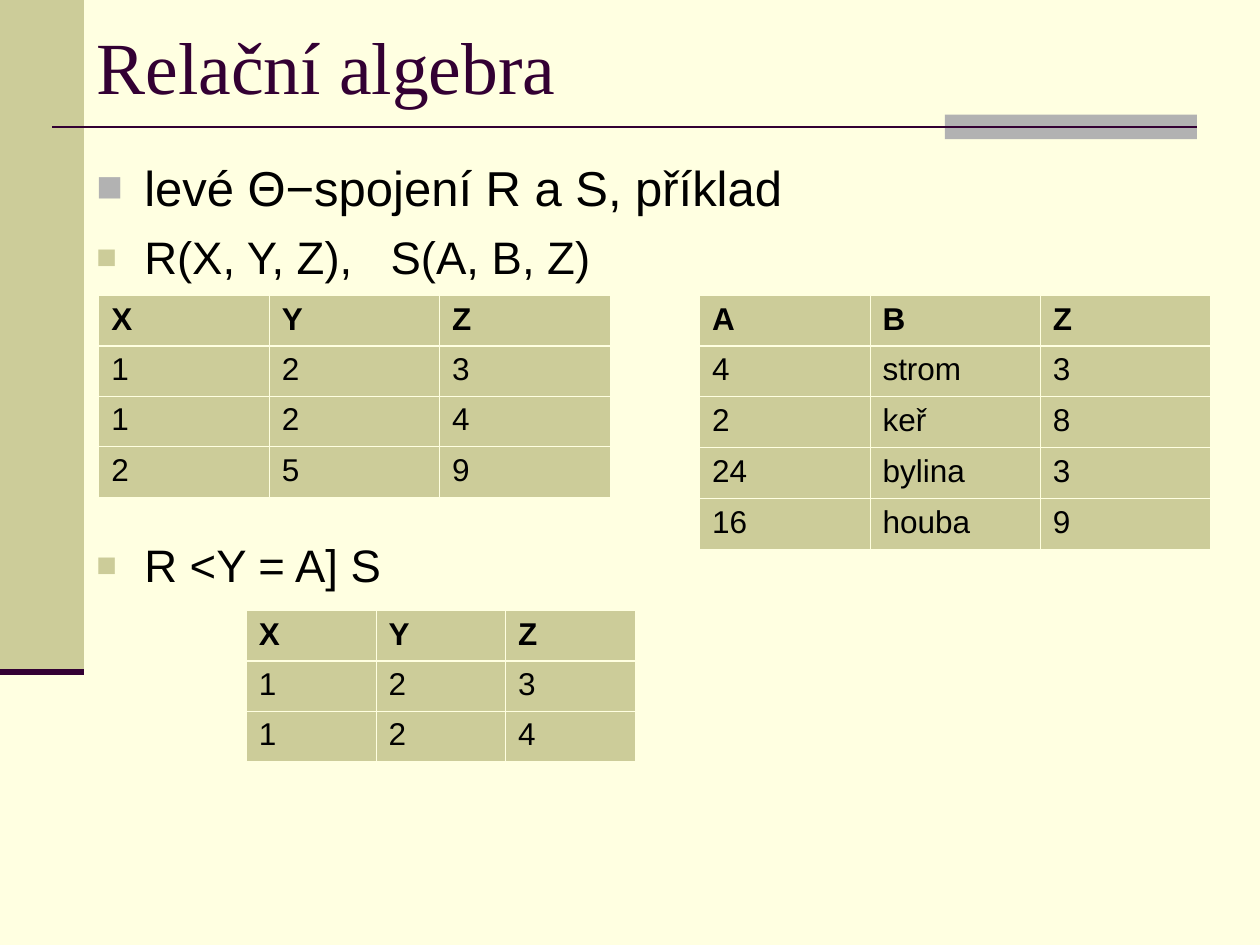
from dataclasses import dataclass

from lxml import etree
from pptx import Presentation
from pptx.dml.color import RGBColor
from pptx.enum.shapes import MSO_CONNECTOR, MSO_SHAPE
from pptx.enum.text import MSO_ANCHOR, PP_ALIGN
from pptx.oxml.ns import qn
from pptx.util import Pt

RECTANGLE = MSO_SHAPE.RECTANGLE
STRAIGHT = MSO_CONNECTOR.STRAIGHT
MIDDLE, TOP = MSO_ANCHOR.MIDDLE, MSO_ANCHOR.TOP
LEFT = PP_ALIGN.LEFT
RIGHT_SIDE = 3
TITLE_ONLY = 5


@dataclass(frozen=True)
class Theme:
    paper: str = "FFFFE1"
    sand: str = "CCCC99"
    grey: str = "B2B2B2"
    plum: str = "330033"
    ink: str = "000000"
    title_font: str = "Times New Roman"
    body_font: str = "Arial"
    title_size: float = 42
    lead_size: float = 28
    item_size: float = 26
    cell_size: float = 18
    thin: float = 0.45
    thick: float = 1.47


def rgb(value):
    return RGBColor.from_string(value)


def assign(target, values):
    for name, value in values.items():
        setattr(target, name, value)


def add_node(parent, tag, **attributes):
    node = etree.SubElement(parent, qn(tag))
    for name, value in attributes.items():
        node.set(name, str(value))
    return node


class SlideBuilder:
    def __init__(self, page, theme):
        self.page = page
        self.theme = theme
        page.background.fill.solid()
        page.background.fill.fore_color.rgb = rgb(theme.paper)

    def style_font(self, font, name, size, color, bold=False):
        assign(font, {"name": name, "size": Pt(size), "bold": bold})
        font.color.rgb = rgb(color)

    def block(self, left, top, width, height, color):
        shape = self.page.shapes.add_shape(
            RECTANGLE, Pt(left), Pt(top), Pt(width), Pt(height))
        shape.shadow.inherit = False
        shape.fill.solid()
        shape.fill.fore_color.rgb = rgb(color)
        shape.line.fill.background()
        return shape

    def rule(self, left, right, y, weight, end_shape=None):
        """Horizontal line; ends on the right side of end_shape if given."""
        line = self.page.shapes.add_connector(STRAIGHT, Pt(left), Pt(y), Pt(right), Pt(y))
        line.line.color.rgb = rgb(self.theme.plum)
        line.line.width = Pt(weight)
        add_node(line._element.spPr, "a:effectLst")
        if end_shape is not None:
            line.end_connect(end_shape, RIGHT_SIDE)

    def title(self, text, left, top, width, height):
        box = self.page.shapes.title
        assign(box, {"left": Pt(left), "top": Pt(top),
                     "width": Pt(width), "height": Pt(height)})
        frame = box.text_frame
        frame.text = text
        assign(frame, {"vertical_anchor": MIDDLE, "margin_top": Pt(12), "word_wrap": True})
        para = frame.paragraphs[0]
        para.alignment = LEFT
        self.style_font(para.font, self.theme.title_font, self.theme.title_size,
                        self.theme.plum)

    def bullets(self, items, left, top, width, height):
        """Each item: spans as (text, letter spacing), size, marker colour, percent, gap."""
        frame = self.page.shapes.add_textbox(
            Pt(left), Pt(top), Pt(width), Pt(height)).text_frame
        assign(frame, {"word_wrap": True, "vertical_anchor": TOP, "margin_top": Pt(7)})
        for index, (spans, size, color, percent, gap) in enumerate(items):
            para = frame.add_paragraph() if index else frame.paragraphs[0]
            self.marker(para, color, percent)
            if index:
                para.space_before = Pt(gap)
            for text, spacing in spans:
                span = para.add_run()
                span.text = text
                self.style_font(span.font, self.theme.body_font, size, self.theme.ink)
                if spacing:
                    span.font._element.set("spc", str(round(spacing * 100)))

    def marker(self, para, color, percent):
        props = para._p.get_or_add_pPr()
        indent = Pt(27.36)
        props.set("marL", str(indent))
        props.set("indent", str(-indent))
        add_node(add_node(props, "a:buClr"), "a:srgbClr", val=color)
        add_node(props, "a:buSzPct", val=percent * 1000)
        add_node(props, "a:buFont", typeface=self.theme.body_font)
        add_node(props, "a:buChar", char="■")

    def table(self, rows, left, top, column_width, row_height=28.8):
        columns = len(rows[0])
        frame = self.page.shapes.add_table(
            len(rows), columns, Pt(left), Pt(top),
            Pt(column_width * columns), Pt(row_height * len(rows)))
        grid = frame.table
        for column in grid.columns:
            column.width = Pt(column_width)
        for r, values in enumerate(rows):
            grid.rows[r].height = Pt(row_height)
            for c, value in enumerate(values):
                cell = grid.cell(r, c)
                cell.text = value
                cell.fill.solid()
                cell.fill.fore_color.rgb = rgb(self.theme.sand)
                self.style_font(cell.text_frame.paragraphs[0].runs[0].font,
                                self.theme.body_font, self.theme.cell_size,
                                self.theme.ink, bold=r == 0)
                self.borders(cell, r)

    def borders(self, cell, row):
        """Thin borders, with a thick one between the header and the first row."""
        thick_side = {0: "a:lnB", 1: "a:lnT"}.get(row)
        props = cell._tc.get_or_add_tcPr()
        for position, side in enumerate(("a:lnL", "a:lnR", "a:lnT", "a:lnB")):
            weight = self.theme.thick if side == thick_side else self.theme.thin
            line = add_node(props, side, w=Pt(weight))
            add_node(add_node(line, "a:solidFill"), "a:srgbClr", val=self.theme.paper)
            props.insert(position, line)


def main():
    deck = Presentation()
    assign(deck, {"slide_width": Pt(720), "slide_height": Pt(540)})
    theme = Theme()
    page = deck.slides.add_slide(deck.slide_layouts[TITLE_ONLY])
    slide = SlideBuilder(page, theme)

    sidebar_width, sidebar_height = 48, 384
    slide.block(0, 0, sidebar_width, sidebar_height, theme.sand)
    accent = slide.block(540, 65.5, 144, 14, theme.grey)
    slide.rule(30, 684, 72.5, 1.5, end_shape=accent)
    slide.rule(0, sidebar_width, sidebar_height, 3.5)

    content_width = 720 - sidebar_width
    slide.title("Relační algebra", sidebar_width, 0, content_width, 65.5)
    slide.bullets([
        ([("levé Θ−spojení R a S, příklad", 0)], theme.lead_size, theme.grey, 90, 0),
        ([("R(X, Y, Z),", 0), (" ", 14.45), ("S(A, B, Z)", 0)],
         theme.item_size, theme.sand, 75, 7.5),
        ([("R <Y = A] S", 0)], theme.item_size, theme.sand, 75, 145),
    ], sidebar_width, 82.8, content_width, 457.2)

    header = ("X", "Y", "Z")
    joined = [("1", "2", "3"), ("1", "2", "4")]
    slide.table([header, *joined, ("2", "5", "9")], 56.4, 168.7, 97.4)
    slide.table([header, *joined], 140.7, 348.7, 74.1)
    slide.table([
        ("A", "B", "Z"),
        ("4", "strom", "3"),
        ("2", "keř", "8"),
        ("24", "bylina", "3"),
        ("16", "houba", "9"),
    ], 399.7, 168.7, 97.4, row_height=29)
    deck.save("out.pptx")


if __name__ == "__main__":
    main()
